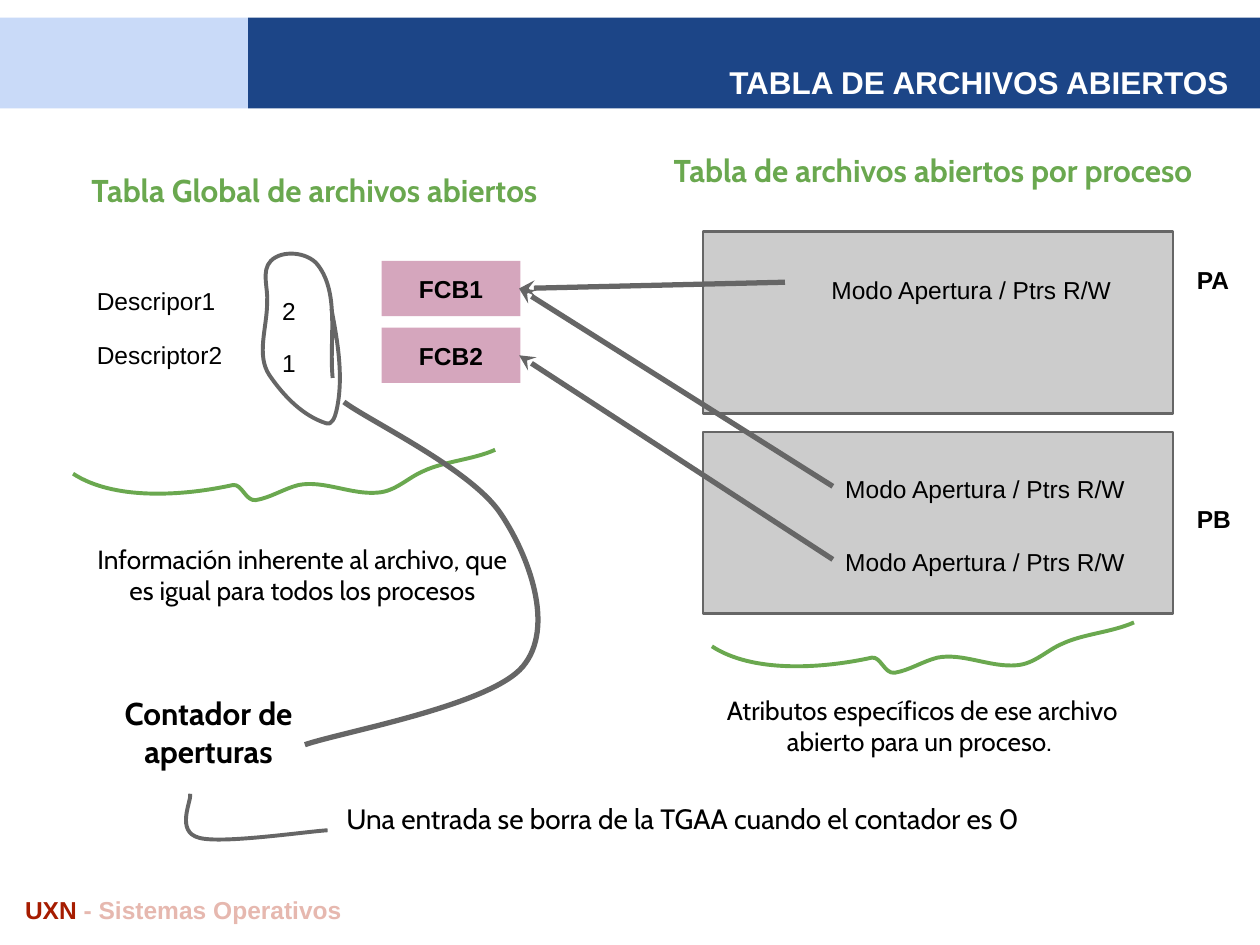
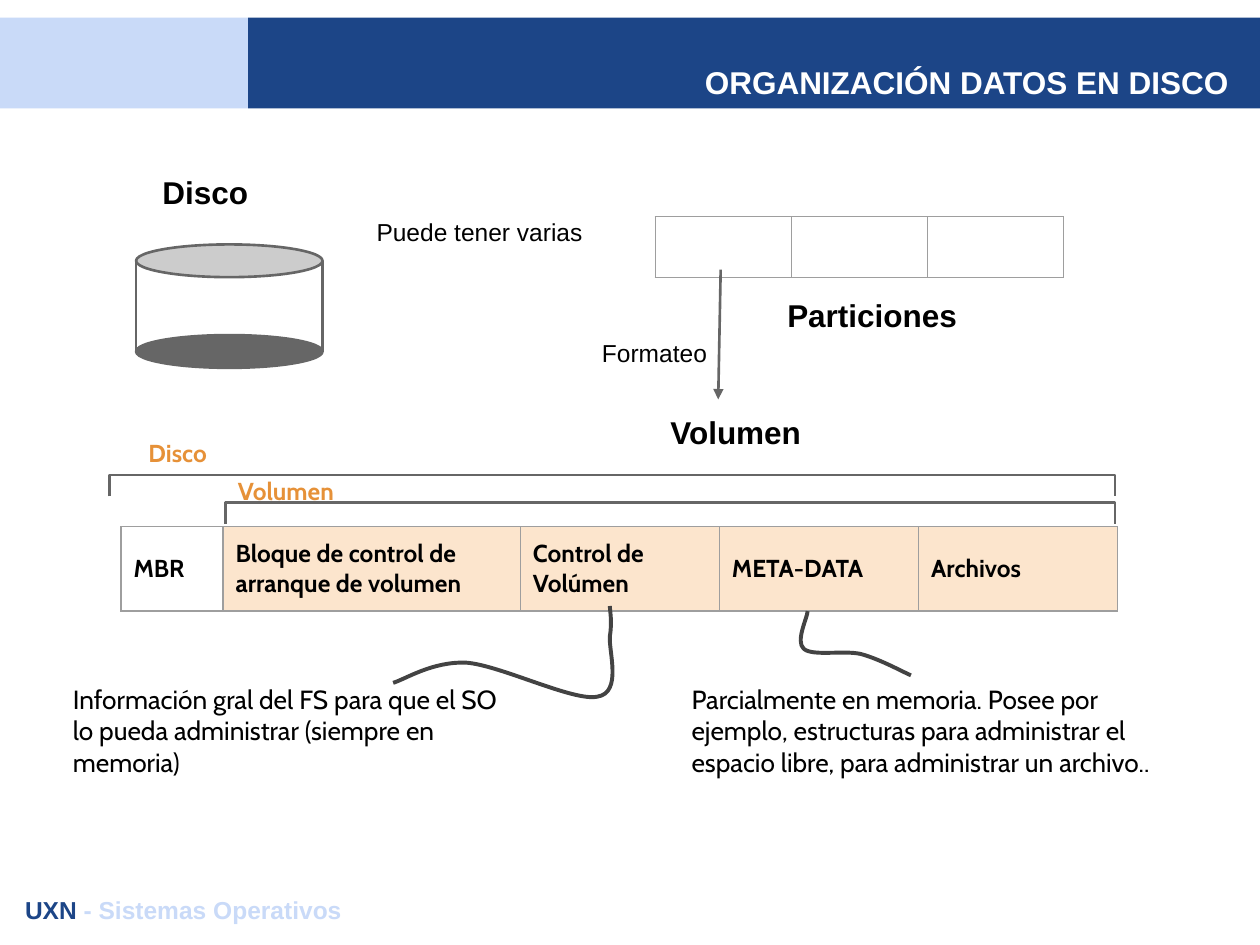
from dataclasses import dataclass

from lxml.etree import SubElement
from pptx import Presentation
from pptx.dml.color import RGBColor
from pptx.enum.shapes import MSO_CONNECTOR as Connector, MSO_SHAPE as Shape
from pptx.enum.text import MSO_ANCHOR as Anchor, PP_ALIGN as Align
from pptx.oxml.ns import qn
from pptx.util import Cm, Pt


@dataclass(frozen=True)
class Theme:
    sans: str = "Arial"
    display: str = "Cabin"
    black: str = "000000"
    white: str = "FFFFFF"
    navy: str = "1C4587"
    sky: str = "C9DAF8"
    red: str = "A61C00"
    blush: str = "E6B8AF"
    green: str = "6AA84F"
    orange: str = "E69138"
    pink: str = "D5A6BD"
    peach: str = "FCE5CD"
    panel: str = "CCCCCC"
    stroke: str = "666666"
    dark: str = "434343"
    border: str = "9E9E9E"
    body: int = 14
    note: int = 15
    remark: int = 16
    heading: int = 18
    hairline: float = 0.75
    thin: float = 1.5
    medium: float = 2.25
    thick: float = 3


THEME = Theme()
BODY = dict()
BODY_BOLD = dict(bold=True)
HEADING = dict(size=THEME.heading, bold=True)
CABIN_HEADING = dict(HEADING, font=THEME.display, align=Align.CENTER)
GREEN_HEADING = dict(CABIN_HEADING, colour=THEME.green)
NOTE = dict(size=THEME.note, font=THEME.display)
CENTRED_NOTE = dict(NOTE, align=Align.CENTER)
REMARK = dict(size=THEME.remark, font=THEME.display)
CABIN_BOLD = dict(font=THEME.display, bold=True)
ORANGE_LABEL = dict(CABIN_BOLD, colour=THEME.orange)

ACCESS = "Modo Apertura / Ptrs R/W"
OPEN_FILES = dict(
    title="TABLA DE ARCHIVOS ABIERTOS",
    footer=[("UXN ", THEME.red), ("- Sistemas Operativos", THEME.blush)],
    texts=[
        ("Tabla Global de archivos abiertos", (0.17, 1.26, 4.65, 0.62), GREEN_HEADING),
        ("Tabla de archivos abiertos por proceso", (4.81, 1.1, 5.19, 0.62), GREEN_HEADING),
        ("Descripor1", (0.67, 2.17, 1.36, 0.44), BODY),
        ("Descriptor2", (0.67, 2.6, 1.36, 0.44), BODY),
        ("2", (2.14, 2.25, 0.51, 0.32), BODY),
        ("1", (2.14, 2.66, 0.51, 0.32), BODY),
        ("PA", (9.4, 2, 0.51, 0.5), BODY_BOLD),
        ("PB", (9.4, 3.9, 0.51, 0.5), BODY_BOLD),
        (ACCESS, (6.5, 2.08, 2.6, 0.4), BODY),
        (ACCESS, (6.61, 3.66, 2.6, 0.4), BODY),
        (ACCESS, (6.61, 4.24, 2.6, 0.4), BODY),
        ("Información inherente al archivo, que es igual para todos los procesos",
         (0.59, 4.21, 3.62, 1.35), CENTRED_NOTE),
        ("Atributos específicos de ese archivo abierto para un proceso. ",
         (5.51, 5.41, 3.62, 1.35), CENTRED_NOTE),
        ("Contador de aperturas", (0.67, 5.41, 1.97, 0.72), CABIN_HEADING),
        ("Una entrada se borra de la TGAA cuando el contador es 0",
         (2.65, 6.26, 6.02, 0.73), REMARK),
    ],
)
CONTROL_BLOCKS = [("FCB1", 2.07), ("FCB2", 2.6)]
PROCESS_PANEL_TOPS = [1.84, 3.43]
POINTERS = [
    ((6.23, 2.24), (4.12, 2.29)),
    ((6.61, 3.86), (4.12, 2.29)),
    ((6.61, 4.44), (4.12, 2.82)),
]
WAVE = [
    (0, 0.19), (0.32, 0.4), (0.86, 0.37), (1.27, 0.28),
    (1.34, 0.27), (1.37, 0.41), (1.45, 0.4), (1.57, 0.38), (1.67, 0.31), (1.79, 0.28),
    (1.99, 0.24), (2.21, 0.36), (2.42, 0.34), (2.56, 0.33), (2.66, 0.22), (2.78, 0.17),
    (2.95, 0.09), (3.17, 0.08), (3.35, 0),
]
WAVE_ORIGINS = [(0.58, 3.57), (5.65, 4.94)]
COUNTER_LOOP = [
    (2.64, 3), (2.61, 2.7), (2.7, 2.33), (2.52, 2.1), (2.44, 2), (2.24, 1.98), (2.15, 2.07),
    (2.07, 2.15), (2.13, 2.29), (2.12, 2.4), (2.12, 2.6), (2.03, 2.82), (2.14, 2.98),
    (2.25, 3.14), (2.4, 3.3), (2.59, 3.36), (2.63, 3.38), (2.66, 3.31), (2.67, 3.26),
    (2.73, 3), (2.68, 2.71), (2.63, 2.45),
]
COUNTER_TAIL = [
    (2.73, 3.19), (2.93, 3.34), (3.73, 3.72), (3.97, 4.07),
    (4.2, 4.41), (4.41, 4.98), (4.15, 5.29), (3.89, 5.6), (2.71, 5.81), (2.42, 5.91),
]
REMARK_HOOK = [
    (1.51, 6.3), (1.52, 6.36), (1.39, 6.6), (1.58, 6.65), (1.76, 6.7), (2.43, 6.6), (2.6, 6.59),
]

DISK_DATA = dict(
    title="ORGANIZACIÓN DATOS EN DISCO",
    footer=[("UXN", THEME.navy), (" - Sistemas Operativos", THEME.sky)],
    texts=[
        ("Disco", (1.19, 1.27, 1.26, 0.35), HEADING),
        ("Puede tener varias", (2.89, 1.62, 1.97, 0.35), BODY),
        ("Particiones", (6.15, 2.25, 1.66, 0.35), HEADING),
        ("Formateo", (3.74, 2.58, 1.97, 0.35), dict(align=Align.RIGHT)),
        ("Volumen", (5.01, 3.18, 1.66, 0.35), dict(HEADING, align=Align.CENTER)),
        ("Disco", (1.08, 3.38, 1.26, 0.35), ORANGE_LABEL),
        ("Volumen", (1.79, 3.68, 1.26, 0.35), ORANGE_LABEL),
        ("Información gral del FS para que el SO lo pueda administrar (siempre en memoria)",
         (0.48, 5.32, 3.6, 0.92), NOTE),
        ("Parcialmente en memoria. Posee por ejemplo, estructuras para administrar "
         "el espacio libre, para administrar un archivo..", (5.39, 5.32, 4.12, 1.24), NOTE),
    ],
)
DISK_LAYOUT = [
    ("MBR", 0.81, None),
    ("Bloque de control de arranque de volumen", 2.36, THEME.peach),
    ("Control de Volúmen", 1.58, THEME.peach),
    ("META-DATA", 1.58, THEME.peach),
    ("Archivos", 1.58, THEME.peach),
]
PARTITIONS = [("", 1.08, None)] * 3
DISK_LEFT, DISK_WIDTH, DISK_RIM = 1.08, 1.48, 0.26
DISK_ENDS = [(1.94, THEME.panel), (2.66, THEME.stroke)]
BRACKETS = [(1.79, 3.99), (0.87, 3.77)]
BRACKET_RIGHT, BRACKET_DROP = 8.85, 0.17
CALLOUTS = [
    [(4.84, 4.81), (4.84, 4.85), (4.86, 4.93), (4.84, 5.05), (4.83, 5.17), (4.94, 5.5),
     (4.74, 5.53), (4.55, 5.57), (3.97, 5.28), (3.7, 5.26), (3.43, 5.25), (3.22, 5.39),
     (3.12, 5.42)],
    [(6.41, 4.85), (6.41, 4.9), (6.31, 5.09), (6.38, 5.15), (6.45, 5.21), (6.69, 5.16),
     (6.83, 5.19), (6.98, 5.23), (7.16, 5.33), (7.23, 5.36)],
]


def lengths(*inches):
    return [Cm(value * 2.54) for value in inches]


INSET = lengths(0.1)[0]


def rgb(colour):
    return RGBColor.from_string(colour)


def set_insets(holder):
    holder.margin_left = holder.margin_right = holder.margin_top = holder.margin_bottom = INSET


def write_text(frame, text, *, size=THEME.body, font=THEME.sans, colour=THEME.black,
               bold=False, align=Align.LEFT, anchor=Anchor.TOP):
    frame.word_wrap = True
    frame.vertical_anchor = anchor
    set_insets(frame)
    paragraph = frame.paragraphs[0]
    paragraph.alignment = align
    pieces = [(text, colour)] if isinstance(text, str) else text
    for words, tint in pieces:
        run = paragraph.add_run()
        run.text = words
        run.font.size, run.font.name, run.font.bold = Pt(size), font, bold
        run.font.color.rgb = rgb(tint)


def add_text(slide, text, box, **style):
    write_text(slide.shapes.add_textbox(*lengths(*box)).text_frame, text, **style)


def set_line(line, colour, width):
    line.color.rgb = rgb(colour)
    line.width = Pt(width)


def add_block(slide, kind, box, fill, outlined=False):
    shape = slide.shapes.add_shape(kind, *lengths(*box))
    shape.shadow.inherit = False
    shape.fill.solid()
    shape.fill.fore_color.rgb = rgb(fill)
    if outlined:
        set_line(shape.line, THEME.stroke, THEME.thin)
    else:
        shape.line.fill.background()
    return shape


def add_line(slide, start, end, width, arrow=None):
    connector = slide.shapes.add_connector(Connector.STRAIGHT, *lengths(*start, *end))
    set_line(connector.line, THEME.stroke, width)
    properties = connector._element.spPr
    if arrow:
        SubElement(properties.find(qn("a:ln")), qn("a:tailEnd"), type=arrow)
    SubElement(properties, qn("a:effectLst"))


def add_outline(slide, points, colour, width):
    first, *rest = [lengths(*point) for point in points]
    builder = slide.shapes.build_freeform(*first)
    builder.add_line_segments(rest, close=False)
    shape = builder.convert_to_shape()
    shape.shadow.inherit = False
    shape.fill.background()
    set_line(shape.line, colour, width)
    return shape


def trace(knots, steps=16):
    points = [knots[0]]
    for index in range(0, len(knots) - 1, 3):
        segment = knots[index:index + 4]
        for step in range(1, steps + 1):
            t = step / steps
            weights = ((1 - t) ** 3, 3 * t * (1 - t) ** 2, 3 * t * t * (1 - t), t ** 3)
            points.append(tuple(sum(weight * value for weight, value in zip(weights, axis))
                                for axis in zip(*segment)))
    return points


def add_curve(slide, knots, colour, width):
    shape = add_outline(slide, trace(knots), colour, width)
    outline = next(shape._element.iter(qn("a:path")))
    for command in list(outline)[1:]:
        outline.remove(command)
    for index, knot in enumerate(knots[1:]):
        if index % 3 == 0:
            bezier = SubElement(outline, qn("a:cubicBezTo"))
        x, y = lengths(*knot)
        SubElement(bezier, qn("a:pt"), x=str(x - shape.left), y=str(y - shape.top))


def add_strip(slide, left, top, height, columns):
    width = sum(column[1] for column in columns)
    table = slide.shapes.add_table(1, len(columns), *lengths(left, top, width, height)).table
    table.first_row = table.horz_banding = False
    for index, (text, column_width, fill) in enumerate(columns):
        table.columns[index].width = lengths(column_width)[0]
        cell = table.cell(0, index)
        if text:
            write_text(cell.text_frame, text, **CABIN_BOLD)
        else:
            SubElement(cell.text_frame.paragraphs[0]._p, qn("a:endParaRPr"),
                       sz=str(THEME.body * 100))
        set_insets(cell)
        cell.vertical_anchor = Anchor.MIDDLE
        properties = cell._tc.get_or_add_tcPr()
        for side in ("lnL", "lnR", "lnT", "lnB"):
            line = SubElement(properties, qn(f"a:{side}"), w=str(Pt(THEME.hairline)))
            SubElement(SubElement(line, qn("a:solidFill")), qn("a:srgbClr"), val=THEME.border)
        if fill:
            cell.fill.solid()
            cell.fill.fore_color.rgb = rgb(fill)
        else:
            cell.fill.background()


def add_base(presentation, content):
    slide = presentation.slides.add_slide(presentation.slide_layouts[6])
    add_block(slide, Shape.RECTANGLE, (0, 0.14, 1.97, 0.72), THEME.sky)
    add_block(slide, Shape.RECTANGLE, (1.97, 0.14, 8.04, 0.72), THEME.navy)
    add_text(slide, content["title"], (1.35, 0.4, 8.5, 0.5), **HEADING,
             colour=THEME.white, align=Align.RIGHT, anchor=Anchor.BOTTOM)
    add_text(slide, content["footer"], (0.1, 7, 9.81, 0.44), bold=True)
    return slide


def add_texts(slide, content):
    for text, box, style in content["texts"]:
        add_text(slide, text, box, **style)


def build_open_files(presentation):
    slide = add_base(presentation, OPEN_FILES)
    for name, top in CONTROL_BLOCKS:
        block = add_block(slide, Shape.RECTANGLE, (3.03, top, 1.1, 0.44), THEME.pink)
        write_text(block.text_frame, name, bold=True, align=Align.CENTER, anchor=Anchor.MIDDLE)
    for top in PROCESS_PANEL_TOPS:
        add_block(slide, Shape.RECTANGLE, (5.58, top, 3.73, 1.44), THEME.panel, outlined=True)
    add_texts(slide, OPEN_FILES)
    for start, end in POINTERS:
        add_line(slide, start, end, THEME.thick, arrow="stealth")
    for left, top in WAVE_ORIGINS:
        add_curve(slide, [(left + x, top + y) for x, y in WAVE], THEME.green, THEME.medium)
    for knots, width in ((COUNTER_LOOP, THEME.medium), (COUNTER_TAIL, THEME.thick),
                         (REMARK_HOOK, THEME.medium)):
        add_curve(slide, knots, THEME.stroke, width)


def build_disk_data(presentation):
    slide = add_base(presentation, DISK_DATA)
    add_strip(slide, 0.96, 4.18, 0.67, DISK_LAYOUT)
    add_strip(slide, 5.2, 1.72, 0.48, PARTITIONS)
    for top, fill in DISK_ENDS:
        add_block(slide, Shape.OVAL, (DISK_LEFT, top, DISK_WIDTH, DISK_RIM), fill, outlined=True)
    side_top, side_bottom = [top + DISK_RIM / 2 for top, _ in DISK_ENDS]
    for x in (DISK_LEFT, DISK_LEFT + DISK_WIDTH):
        add_line(slide, (x, side_top), (x, side_bottom), THEME.thin)
    add_line(slide, (5.72, 2.14), (5.7, 3.17), THEME.thin, arrow="triangle")
    add_texts(slide, DISK_DATA)
    for knots in CALLOUTS:
        add_curve(slide, knots, THEME.dark, THEME.medium)
    for left, top in BRACKETS:
        bottom = top + BRACKET_DROP
        corners = [(left, bottom), (left, top), (BRACKET_RIGHT, top), (BRACKET_RIGHT, bottom)]
        add_outline(slide, corners, THEME.stroke, THEME.thin)


def main():
    presentation = Presentation()
    presentation.slide_width, presentation.slide_height = Cm(25.4), Cm(19.05)
    build_open_files(presentation)
    build_disk_data(presentation)
    presentation.save("out.pptx")


if __name__ == "__main__":
    main()
